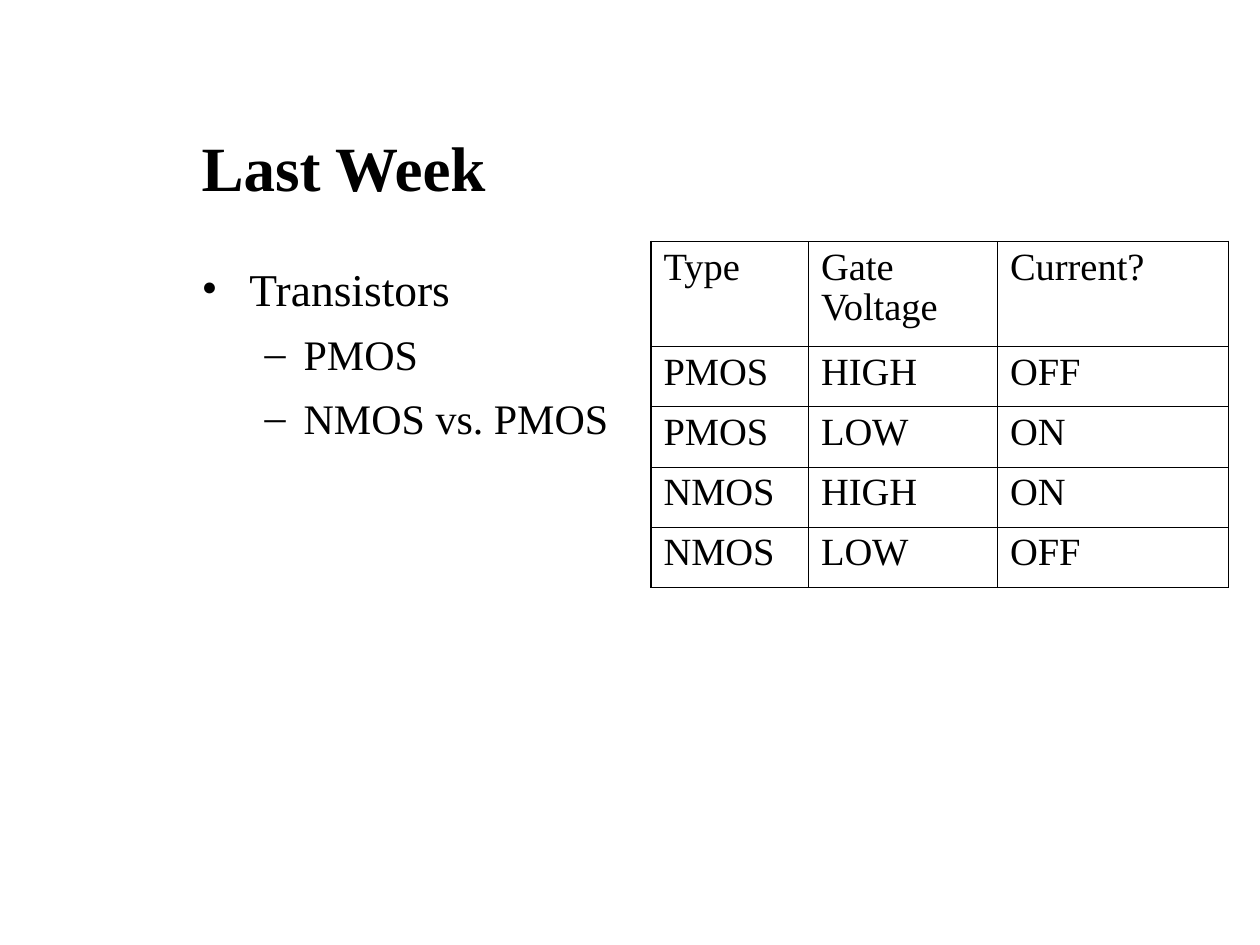
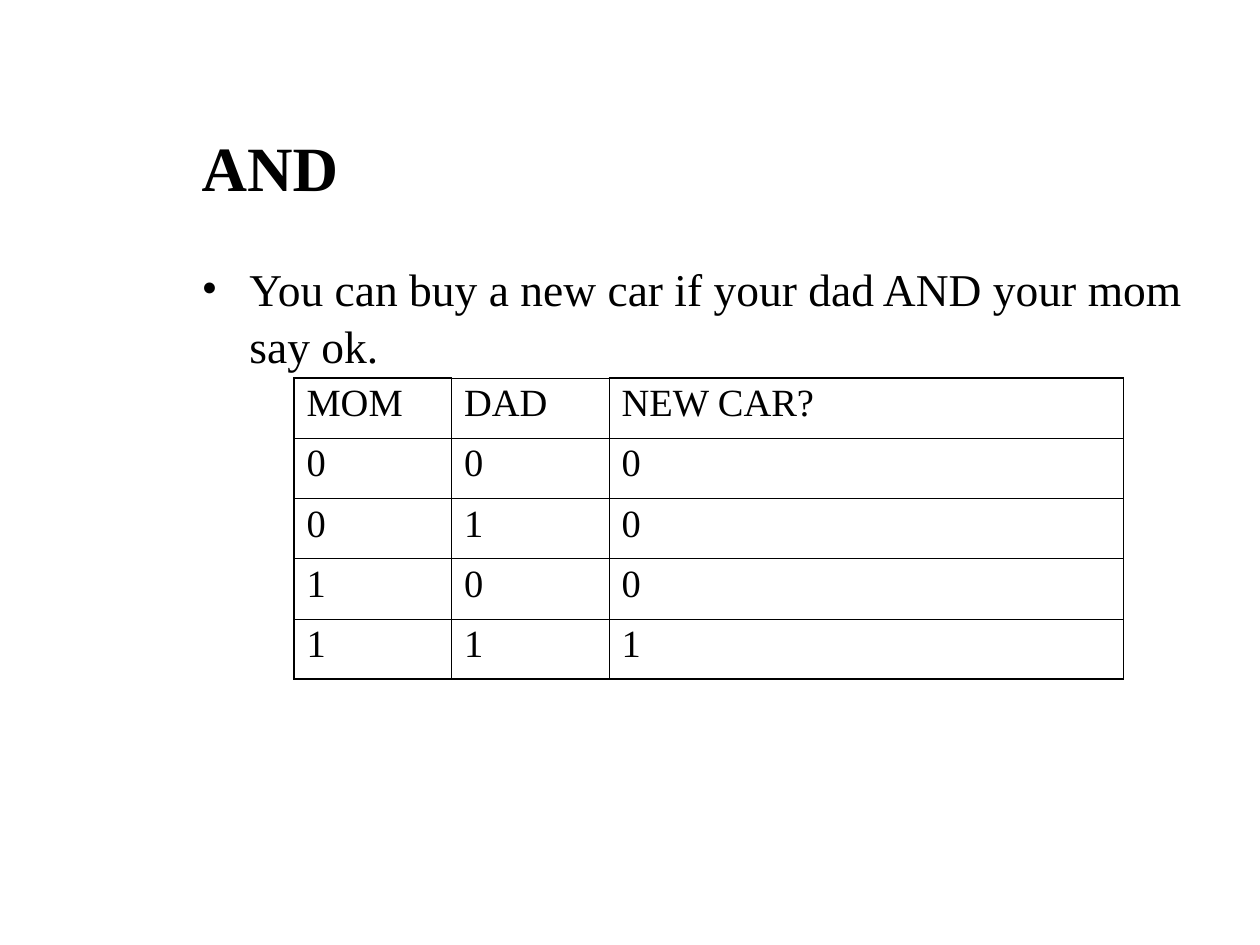
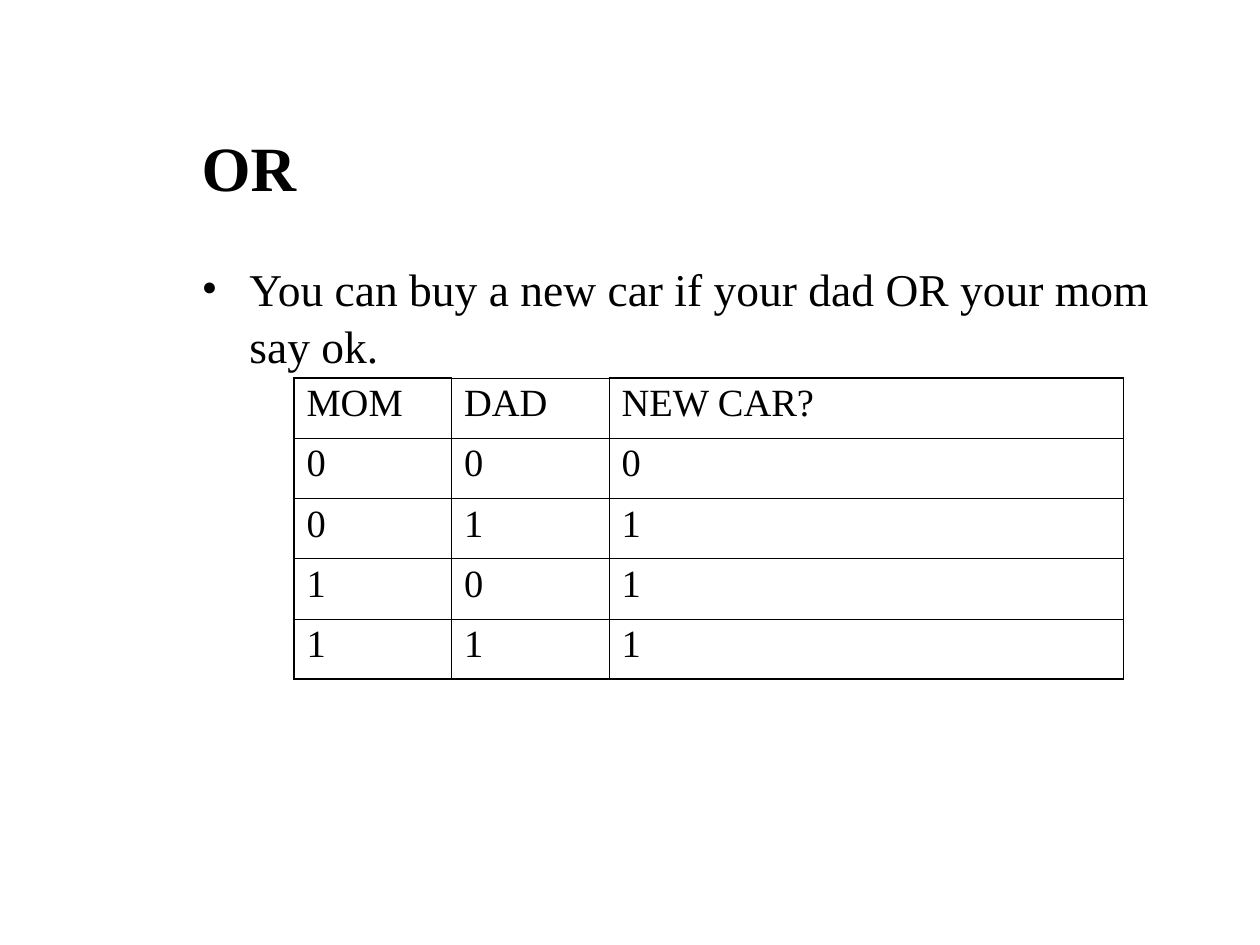
from dataclasses import dataclass
from typing import Any

from lxml.etree import SubElement
from pptx import Presentation
from pptx.dml.color import RGBColor
from pptx.enum.text import MSO_ANCHOR as Anchor, MSO_AUTO_SIZE as AutoSize, PP_ALIGN as Align
from pptx.oxml.ns import qn
from pptx.util import Emu, Inches, Pt

PAGE_WIDTH, PAGE_HEIGHT = Inches(10), Inches(7.5)
UNIT = PAGE_WIDTH / 12  # the page is a grid of 12 columns and 9 rows


@dataclass(frozen=True)
class Theme:
    font: str = "Times New Roman"
    ink: str = "000000"
    title_size: int = 36
    cell_size: int = 22
    list_spacing: float = 1.05
    cell_spacing: float = 0.95
    thin: float = 0.45
    thick: float = 1.08


@dataclass(frozen=True)
class ListLevel:
    bullet: str
    size: int
    space_before: float
    margin: float
    hanging: float


@dataclass(frozen=True)
class Area:
    """A rectangle in grid units."""
    left: float
    top: float
    width: float
    height: float

    def lengths(self) -> list[Emu]:
        return [grid(value) for value in (self.left, self.top, self.width, self.height)]


@dataclass(frozen=True)
class TableBlock:
    left: float
    top: float
    columns: tuple[float, ...]
    header_height: float
    row_height: float
    rows: list[list[str]]


@dataclass(frozen=True)
class Lesson:
    title: str
    items: list[tuple[int, str]]
    table: TableBlock


THEME = Theme()
LEVELS = (ListLevel("•", 26, 6.5, 0.38, 0.38), ListLevel("–", 24, 6, 0.81, 0.31))
TITLE_AREA = Area(1.8, 1, 9.6, 1.16)
LIST_AREA = Area(1.8, 2.4, 9.6, 4.9)
ROW_HEIGHT = 2.87 / 5


def grid(units: float) -> Emu:
    return Emu(round(units * UNIT))


def set_values(target: Any, values: dict[str, Any]) -> None:
    for name, value in values.items():
        setattr(target, name, value)


def format_font(font: Any, size: int, bold: bool = False) -> None:
    set_values(font, {"name": THEME.font, "size": Pt(size), "bold": bold})
    font.color.rgb = RGBColor.from_string(THEME.ink)


def place(shape: Any, area: Area, anchor: Anchor) -> None:
    shape.left, shape.top, shape.width, shape.height = area.lengths()
    set_values(shape.text_frame, {"word_wrap": True, "auto_size": AutoSize.NONE,
                                  "vertical_anchor": anchor})


def add_title(page: Any, text: str) -> None:
    title = page.shapes.title
    title.text = text
    place(title, TITLE_AREA, Anchor.MIDDLE)
    para = title.text_frame.paragraphs[0]
    para.alignment = Align.LEFT
    format_font(para.runs[0].font, THEME.title_size, bold=True)


def add_bullet(para: Any, level: ListLevel) -> None:
    properties = para._p.get_or_add_pPr()
    properties.set("marL", str(Inches(level.margin)))
    properties.set("indent", str(-Inches(level.hanging)))
    color = SubElement(properties, qn("a:buClr"))
    SubElement(color, qn("a:srgbClr"), val=THEME.ink)
    SubElement(properties, qn("a:buFont"), typeface=THEME.font)
    SubElement(properties, qn("a:buChar"), char=level.bullet)


def add_list(page: Any, items: list[tuple[int, str]]) -> None:
    body = page.placeholders[1]
    body.text = "\n".join(text for _, text in items)
    place(body, LIST_AREA, Anchor.TOP)
    for index, (para, (depth, _)) in enumerate(zip(body.text_frame.paragraphs, items)):
        level = LEVELS[depth]
        add_bullet(para, level)
        set_values(para, {"level": depth, "alignment": Align.LEFT,
                          "line_spacing": THEME.list_spacing,
                          "space_before": Pt(level.space_before if index else 0)})
        format_font(para.runs[0].font, level.size)


def add_borders(cell: Any, thick_sides: dict[str, bool]) -> None:
    properties = cell._tc.get_or_add_tcPr()
    for side, is_thick in thick_sides.items():
        width = Pt(THEME.thick if is_thick else THEME.thin)
        line = SubElement(properties, qn(f"a:ln{side}"), w=str(width))
        fill = SubElement(line, qn("a:solidFill"))
        SubElement(fill, qn("a:srgbClr"), val=THEME.ink)


def add_table(page: Any, block: TableBlock) -> None:
    heights = [block.header_height] + [block.row_height] * (len(block.rows) - 1)
    area = Area(block.left, block.top, sum(block.columns), sum(heights))
    table = page.shapes.add_table(len(heights), len(block.columns), *area.lengths()).table
    set_values(table, {"first_row": False, "horz_banding": False})
    for column, width in zip(table.columns, block.columns):
        column.width = grid(width)
    for row, height in zip(table.rows, heights):
        row.height = grid(height)

    last_row, last_column = len(heights) - 1, len(block.columns) - 1
    for row, texts in enumerate(block.rows):
        for column, text in enumerate(texts):
            cell = table.cell(row, column)
            cell.text = text
            # The top rule is heavy over the outer columns only.
            add_borders(cell, {"L": column == 0, "R": column == last_column,
                               "T": row == 0 and column in (0, last_column),
                               "B": row == last_row})
            cell.fill.background()
            para = cell.text_frame.paragraphs[0]
            para.line_spacing = THEME.cell_spacing
            format_font(para.runs[0].font, THEME.cell_size)


def logic_lesson(name: str, results: str) -> Lesson:
    """Describe a gate by its results for the inputs 00, 01, 10 and 11."""
    inputs = ("00", "01", "10", "11")
    rows = [["MOM", "DAD", "NEW CAR?"]]
    rows += [[mom, dad, result] for (mom, dad), result in zip(inputs, results)]
    sentence = f"You can buy a new car if your dad {name} your mom say ok."
    return Lesson(name, [(0, sentence)],
                  TableBlock(2.8, 3.6, (1.5, 1.5, 4.9), ROW_HEIGHT, ROW_HEIGHT, rows))


LESSONS = [
    Lesson("Last Week",
           [(0, "Transistors"), (1, "PMOS"), (1, "NMOS vs. PMOS")],
           TableBlock(6.2, 2.3, (1.5, 1.8, 2.2), 1, ROW_HEIGHT, [
               ["Type", "Gate Voltage", "Current?"],
               ["PMOS", "HIGH", "OFF"],
               ["PMOS", "LOW", "ON"],
               ["NMOS", "HIGH", "ON"],
               ["NMOS", "LOW", "OFF"],
           ])),
    logic_lesson("AND", "0001"),
    logic_lesson("OR", "0111"),
]


def main() -> None:
    deck = Presentation()
    deck.slide_width, deck.slide_height = PAGE_WIDTH, PAGE_HEIGHT
    for lesson in LESSONS:
        page = deck.slides.add_slide(deck.slide_layouts[1])
        add_title(page, lesson.title)
        add_list(page, lesson.items)
        add_table(page, lesson.table)
    deck.save("out.pptx")


if __name__ == "__main__":
    main()
